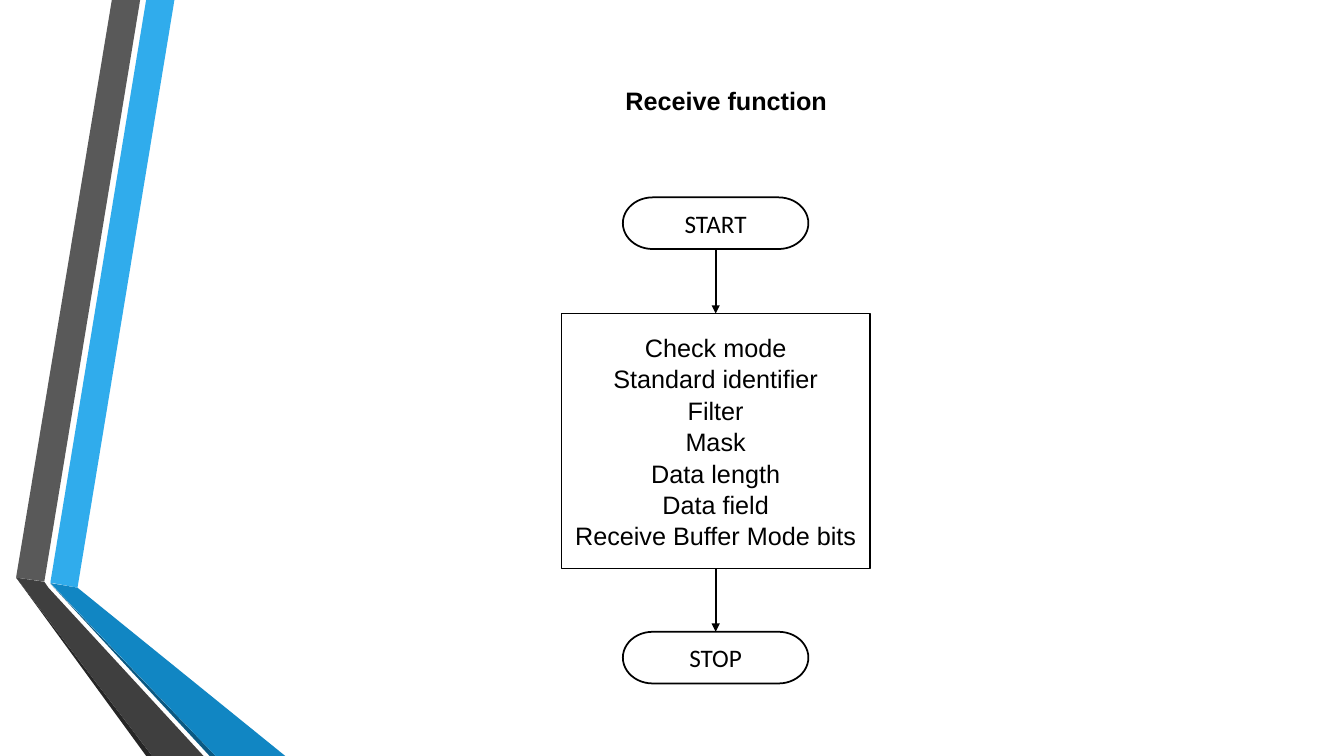
from lxml import etree
from pptx import Presentation
from pptx import util as u
from pptx.dml import color
from pptx.enum import shapes, text
from pptx.oxml import ns

PAGE_WIDTH, PAGE_HEIGHT = 960, 540
CENTRE = 511.2
TOP, BOTTOM = 0, 2
RIBBONS = [
    ("30ACEC", [(36, 416.2), (55.4, 419.8), (124.6, 0), (104.4, 0)]),
    ("595959", [(100.1, 0), (79.9, 0), (11.5, 412.6), (31.7, 415.4)]),
    ("262626", [(11.5, 412.6), (104.4, 540), (108.7, 540)]),
    ("0B5982", [(36, 416.9), (149.8, 540), (154.1, 540)]),
    ("1186C3", [(36, 416.5), (154.1, 540), (203.8, 540), (55.4, 419.8)]),
    ("3F3F3F", [(145.4, 540), (34.6, 419.8), (31.7, 415.6), (11.5, 412.6), (108.7, 540)]),
]
STEPS = ["Check mode", "Standard identifier", "Filter", "Mask", "Data length",
         "Data field", "Receive Buffer Mode bits"]


def rgb(value):
    return color.RGBColor.from_string(value)


class FlowPage:
    """Draws flowchart elements on one page in a shared style."""

    ink, paper = "000000", "FFFFFF"
    size, stroke = 18, 1.25

    def __init__(self, page):
        self.page = page

    def ribbon(self, fill, points):
        builder = self.page.shapes.build_freeform(*map(u.Pt, points[0]), scale=1.0)
        builder.add_line_segments([(u.Pt(x), u.Pt(y)) for x, y in points[1:]], close=True)
        shape = builder.convert_to_shape()
        shape.shadow.inherit = False
        shape.fill.solid()
        shape.fill.fore_color.rgb = rgb(fill)
        shape.line.fill.background()

    def label(self, box, lines, font, bold=False, spacing=None):
        frame = box.text_frame
        frame.word_wrap = True
        frame.text = "\n".join(lines)
        for para in frame.paragraphs:
            para.alignment = text.PP_ALIGN.CENTER
            para.line_spacing = spacing
            para.font.name = font
            para.font.size = u.Pt(self.size)
            para.font.bold = bold
            para.font.color.rgb = rgb(self.ink)

    def node(self, kind, top, width, height, lines, font, spacing=None):
        box = self.page.shapes.add_shape(
            kind, *map(u.Pt, (CENTRE - width / 2, top, width, height)))
        box.shadow.inherit = False
        box.fill.solid()
        box.fill.fore_color.rgb = rgb(self.paper)
        box.line.color.rgb = rgb(self.ink)
        box.line.width = u.Pt(self.stroke)
        box.text_frame.vertical_anchor = text.MSO_ANCHOR.MIDDLE
        self.label(box, lines, font, spacing=spacing)
        return box

    def terminator(self, top, caption):
        kind = shapes.MSO_SHAPE.FLOWCHART_TERMINATOR
        return self.node(kind, top, 132.5, 36.9, [caption], "Calibri")

    def arrow(self, upper, lower):
        arrow = self.page.shapes.add_connector(shapes.MSO_CONNECTOR.STRAIGHT, 0, 0, 0, 0)
        arrow.begin_connect(upper, BOTTOM)
        arrow.end_connect(lower, TOP)
        arrow.line.color.rgb = rgb(self.ink)
        arrow.line.width = u.Pt(self.stroke)
        properties = arrow._element.spPr
        etree.SubElement(properties.find(ns.qn("a:ln")), ns.qn("a:tailEnd"), type="triangle")
        etree.SubElement(properties, ns.qn("a:effectLst"))

    def title(self, left, top, width, height, caption):
        box = self.page.shapes.add_textbox(*map(u.Pt, (left, top, width, height)))
        self.label(box, [caption], "Arial", bold=True)


def main():
    deck = Presentation()
    deck.slide_width, deck.slide_height = u.Pt(PAGE_WIDTH), u.Pt(PAGE_HEIGHT)
    flow = FlowPage(deck.slides.add_slide(deck.slide_layouts[6]))
    for fill, points in RIBBONS:
        flow.ribbon(fill, points)
    start = flow.terminator(141, "START")
    process = flow.node(shapes.MSO_SHAPE.FLOWCHART_PROCESS, 224, 220.4, 182,
                        STEPS, "Arial", spacing=1.04)
    stop = flow.terminator(451.3, "STOP")
    flow.arrow(start, process)
    flow.arrow(process, stop)
    flow.title(392, 57.6, 253.4, 29, "Receive function")
    deck.save("out.pptx")


if __name__ == "__main__":
    main()
